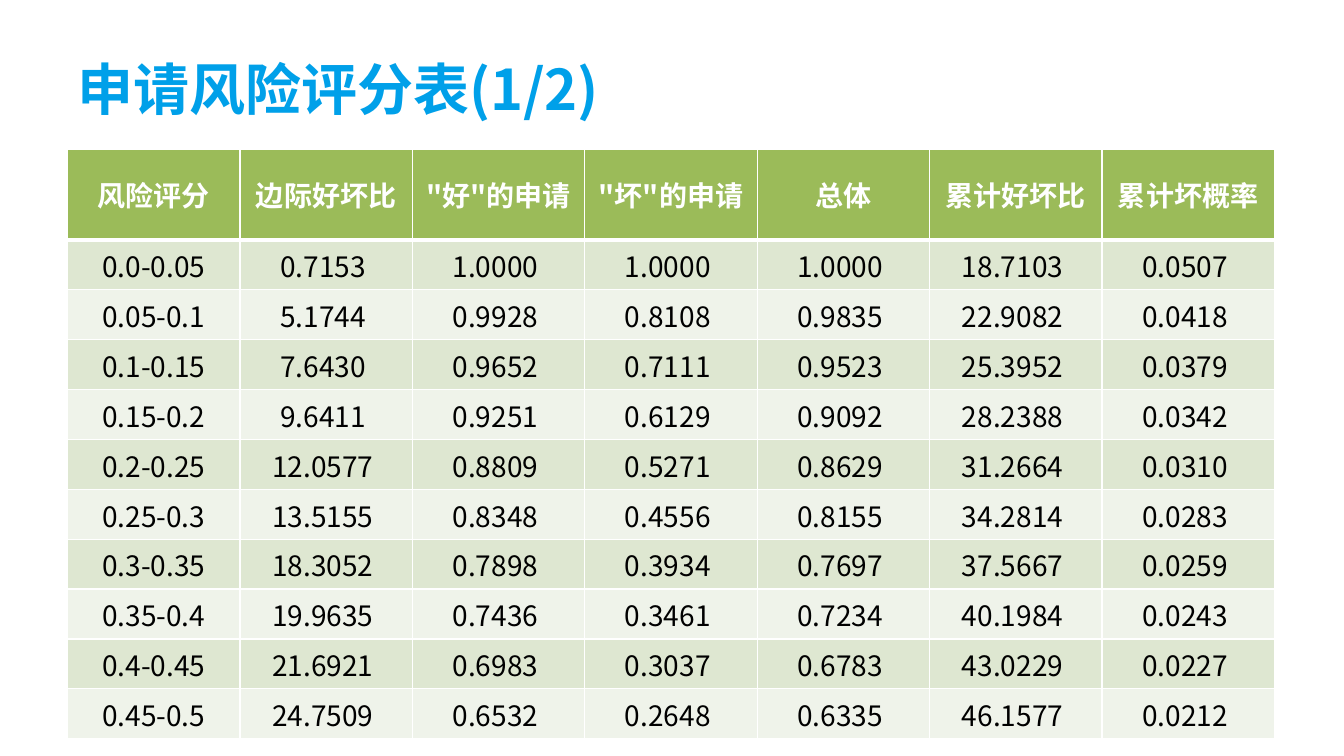
from lxml.etree import SubElement
from pptx import Presentation
from pptx.dml.color import RGBColor
from pptx.enum.text import MSO_ANCHOR as Anchor, PP_ALIGN as Align
from pptx.oxml.ns import qn
from pptx.util import Inches, Pt

FONT = "Noto Sans CJK SC"
TITLE = "申请风险评分表(1/2)"
HEADERS = ["风险评分", "边际好坏比", '"好"的申请', '"坏"的申请', "总体", "累计好坏比", "累计坏概率"]
SCORES = [
    ("0.0-0.05", 0.7153, 1.0000, 1.0000, 1.0000, 18.7103, 0.0507),
    ("0.05-0.1", 5.1744, 0.9928, 0.8108, 0.9835, 22.9082, 0.0418),
    ("0.1-0.15", 7.6430, 0.9652, 0.7111, 0.9523, 25.3952, 0.0379),
    ("0.15-0.2", 9.6411, 0.9251, 0.6129, 0.9092, 28.2388, 0.0342),
    ("0.2-0.25", 12.0577, 0.8809, 0.5271, 0.8629, 31.2664, 0.0310),
    ("0.25-0.3", 13.5155, 0.8348, 0.4556, 0.8155, 34.2814, 0.0283),
    ("0.3-0.35", 18.3052, 0.7898, 0.3934, 0.7697, 37.5667, 0.0259),
    ("0.35-0.4", 19.9635, 0.7436, 0.3461, 0.7234, 40.1984, 0.0243),
    ("0.4-0.45", 21.6921, 0.6983, 0.3037, 0.6783, 43.0229, 0.0227),
    ("0.45-0.5", 24.7509, 0.6532, 0.2648, 0.6335, 46.1577, 0.0212),
]
BLUE, WHITE, BLACK = "00A0E9", "FFFFFF", "000000"
GREEN, BANDS = "9BBB59", ("DEE7D1", "EFF3EA")
LEFT, WIDTH = 0.67, 12
TABLE_TOP, TABLE_HEIGHT, HEADER_HEIGHT = 1.48, 5.85, 0.9
COLUMN_WIDTH = 1.71


def color(hex_code):
    return RGBColor.from_string(hex_code)


def add_span(para, text, size, hex_code, bold):
    span = para.add_run()
    span.text = text
    font = span.font
    font.name, font.size, font.bold = FONT, Pt(size), bold
    font.color.rgb = color(hex_code)
    SubElement(span._r.get_or_add_rPr(), qn("a:ea"), typeface=FONT)


def add_borders(cell, top, bottom):
    """Draw white lines on the four sides; top and bottom are widths in points."""
    properties = cell._tc.get_or_add_tcPr()
    for side, width in (("L", 1), ("R", 1), ("T", top), ("B", bottom)):
        line = SubElement(properties, qn(f"a:ln{side}"), w=str(Pt(width)))
        fill = SubElement(line, qn("a:solidFill"))
        SubElement(fill, qn("a:srgbClr"), val=WHITE)


def fill_cell(cell, text, fill, text_color, bold, top=1, bottom=1):
    add_borders(cell, top, bottom)
    cell.fill.solid()
    cell.fill.fore_color.rgb = color(fill)
    cell.vertical_anchor = Anchor.MIDDLE
    para = cell.text_frame.paragraphs[0]
    para.alignment = Align.CENTER
    add_span(para, text, 20, text_color, bold)


def add_title(page):
    box = page.shapes.add_textbox(Inches(LEFT), Inches(0.36), Inches(WIDTH), Inches(1.02))
    frame = box.text_frame
    frame.word_wrap = True
    frame.vertical_anchor = Anchor.MIDDLE
    add_span(frame.paragraphs[0], TITLE, 40, BLUE, True)


def add_score_table(page):
    table = page.shapes.add_table(
        len(SCORES) + 1, len(HEADERS), Inches(LEFT), Inches(TABLE_TOP),
        Inches(COLUMN_WIDTH * len(HEADERS)), Inches(TABLE_HEIGHT)).table
    table.horz_banding = False
    for column in table.columns:
        column.width = Inches(COLUMN_WIDTH)
    for row in table.rows:
        row.height = Inches((TABLE_HEIGHT - HEADER_HEIGHT) / len(SCORES))
    table.rows[0].height = Inches(HEADER_HEIGHT)

    for j, header in enumerate(HEADERS):
        fill_cell(table.cell(0, j), header, GREEN, WHITE, True, bottom=3)
    for i, (band, *values) in enumerate(SCORES):
        texts = [band] + [f"{value:.4f} " for value in values]
        for j, text in enumerate(texts):
            cell = table.cell(i + 1, j)
            fill_cell(cell, text, BANDS[i % 2], BLACK, False, top=1 if i else 3)
            cell.margin_left = cell.margin_right = cell.margin_top = Inches(0.01)
            cell.margin_bottom = 0


def main():
    deck = Presentation()
    deck.slide_width, deck.slide_height = Inches(13.33), Inches(7.5)
    page = deck.slides.add_slide(deck.slide_layouts[6])
    add_title(page)
    add_score_table(page)
    deck.save("out.pptx")


if __name__ == "__main__":
    main()
